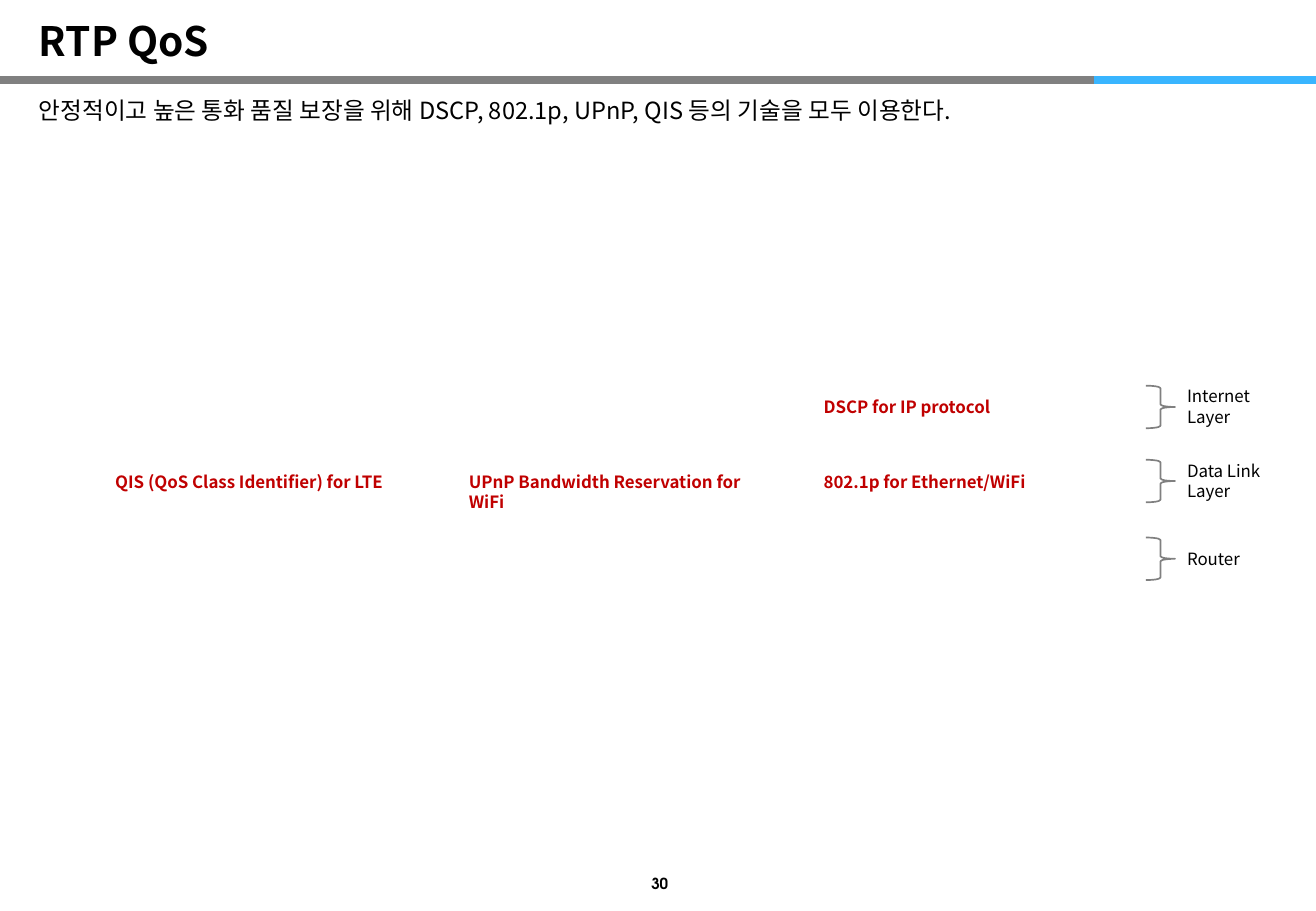
import pptx
import pptx.dml.color
import pptx.enum.shapes
import pptx.enum.text
import pptx.oxml
import pptx.oxml.ns
import pptx.util
from pptx.util import Inches

SANS = "Noto Sans CJK KR"
NUMBER_FONT = "TeX Gyre Adventor"
BLACK, GRAY, BLUE, RED = "000000", "808080", "39B5FF", "C00000"
ANCHOR = pptx.enum.text.MSO_ANCHOR
ALIGN = pptx.enum.text.PP_ALIGN


def rgb(color):
    """Return the colour for a hex string."""
    return pptx.dml.color.RGBColor.from_string(color)


def add_run(p, text, size, color=BLACK, bold=False, font=SANS):
    """Add a formatted run with one font for Latin and Korean text."""
    r = p.add_run()
    r.text = text
    r.font.name = font
    r.font.size = pptx.util.Pt(size)
    r.font.bold = bold
    r.font.color.rgb = rgb(color)
    ea = pptx.oxml.parse_xml(f'<a:ea {pptx.oxml.ns.nsdecls("a")} typeface="{font}"/>')
    r.font._element.append(ea)


def fill_placeholder(sp, box, text, size, bold, anchor):
    """Place a placeholder, write its text and return its paragraph."""
    sp.left, sp.top, sp.width, sp.height = (Inches(v) for v in box)
    tf = sp.text_frame
    tf.auto_size = pptx.enum.text.MSO_AUTO_SIZE.NONE
    tf.vertical_anchor = anchor
    p = tf.paragraphs[0]
    p.alignment = ALIGN.LEFT
    add_run(p, text, size, bold=bold)
    return p


def remove_bullet(p):
    """Turn off the bullet and the hanging indent."""
    pPr = p._p.get_or_add_pPr()
    pPr.set("marL", "0")
    pPr.set("indent", "0")
    pPr.append(pptx.oxml.parse_xml(f'<a:buNone {pptx.oxml.ns.nsdecls("a")}/>'))


def add_text(s, left, top, width, height, lines, color=BLACK, bold=False):
    """Add a wrapped text box with one paragraph per line."""
    sp = s.shapes.add_textbox(Inches(left), Inches(top), Inches(width), Inches(height))
    tf = sp.text_frame
    tf.word_wrap = True
    for i, line in enumerate(lines):
        p = tf.add_paragraph() if i else tf.paragraphs[0]
        add_run(p, line, 10, color, bold)


def add_page_number(s, number):
    """Add the centred page number at the foot of the slide."""
    sp = s.shapes.add_textbox(Inches(5), Inches(7.16), Inches(0.86), Inches(0.22))
    tf = sp.text_frame
    tf.word_wrap = True
    tf.margin_top = tf.margin_bottom = 0
    tf.vertical_anchor = ANCHOR.MIDDLE
    p = tf.paragraphs[0]
    p.alignment = ALIGN.CENTER
    add_run(p, number, 9, bold=True, font=NUMBER_FONT)


def add_rule(s, start, end, color):
    """Add a thick horizontal rule under the title."""
    y = Inches(0.66)
    cxn = s.shapes.add_connector(
        pptx.enum.shapes.MSO_CONNECTOR.STRAIGHT, Inches(start), y, Inches(end), y)
    cxn.line.color.rgb = rgb(color)
    cxn.line.width = pptx.util.Pt(5)
    spPr = cxn._element.spPr
    spPr.append(pptx.oxml.parse_xml(f'<a:effectLst {pptx.oxml.ns.nsdecls("a")}/>'))


def add_layer(s, middle, lines):
    """Add a brace and its layer label, centred on one height."""
    sp = s.shapes.add_shape(
        pptx.enum.shapes.MSO_SHAPE.LEFT_BRACE,
        Inches(9.43), Inches(middle - 0.175), Inches(0.24), Inches(0.35))
    sp.rotation = 180
    sp.shadow.inherit = False
    sp.fill.background()
    sp.line.color.rgb = rgb(GRAY)
    sp.line.width = pptx.util.Pt(1)
    height = 0.1 + 0.17 * len(lines)
    add_text(s, 9.67, middle - height / 2, 0.95, height, lines)


def main():
    """Build the slide."""
    prs = pptx.Presentation()
    prs.slide_width, prs.slide_height = Inches(10.83), Inches(7.5)
    s = prs.slides.add_slide(prs.slide_layouts[1])

    add_page_number(s, "30")
    add_rule(s, 0, 9.05, GRAY)
    add_rule(s, 9, 10.85, BLUE)

    p = fill_placeholder(s.shapes.title, (0.22, 0.07, 9.29, 0.52),
                         "RTP QoS", 24, True, ANCHOR.BOTTOM)
    p.line_spacing = 0.9
    p = fill_placeholder(
        s.placeholders[1], (0.22, 0.74, 10.3, 0.77),
        "안정적이고 높은 통화 품질 보장을 위해 DSCP, 802.1p, UPnP, QIS 등의 기술을 모두 이용한다.",
        14, False, ANCHOR.TOP)
    p.line_spacing = pptx.util.Pt(17)
    p.space_before = pptx.util.Pt(2.8)
    remove_bullet(p)

    layers = [(3.35, ["Internet", "Layer"]),
              (3.96, ["Data Link", "Layer"]),
              (4.6, ["Router"])]
    for middle, lines in layers:
        add_layer(s, middle, lines)

    technologies = [(6.68, 3.22, 0.27, "DSCP for IP protocol"),
                    (0.85, 3.83, 0.27, "QIS (QoS Class Identifier) for LTE"),
                    (3.76, 3.83, 0.44, "UPnP Bandwidth Reservation for WiFi"),
                    (6.68, 3.83, 0.27, "802.1p for Ethernet/WiFi")]
    for left, top, height, name in technologies:
        add_text(s, left, top, 2.58, height, [name], RED, True)

    prs.save("out.pptx")


if __name__ == "__main__":
    main()
